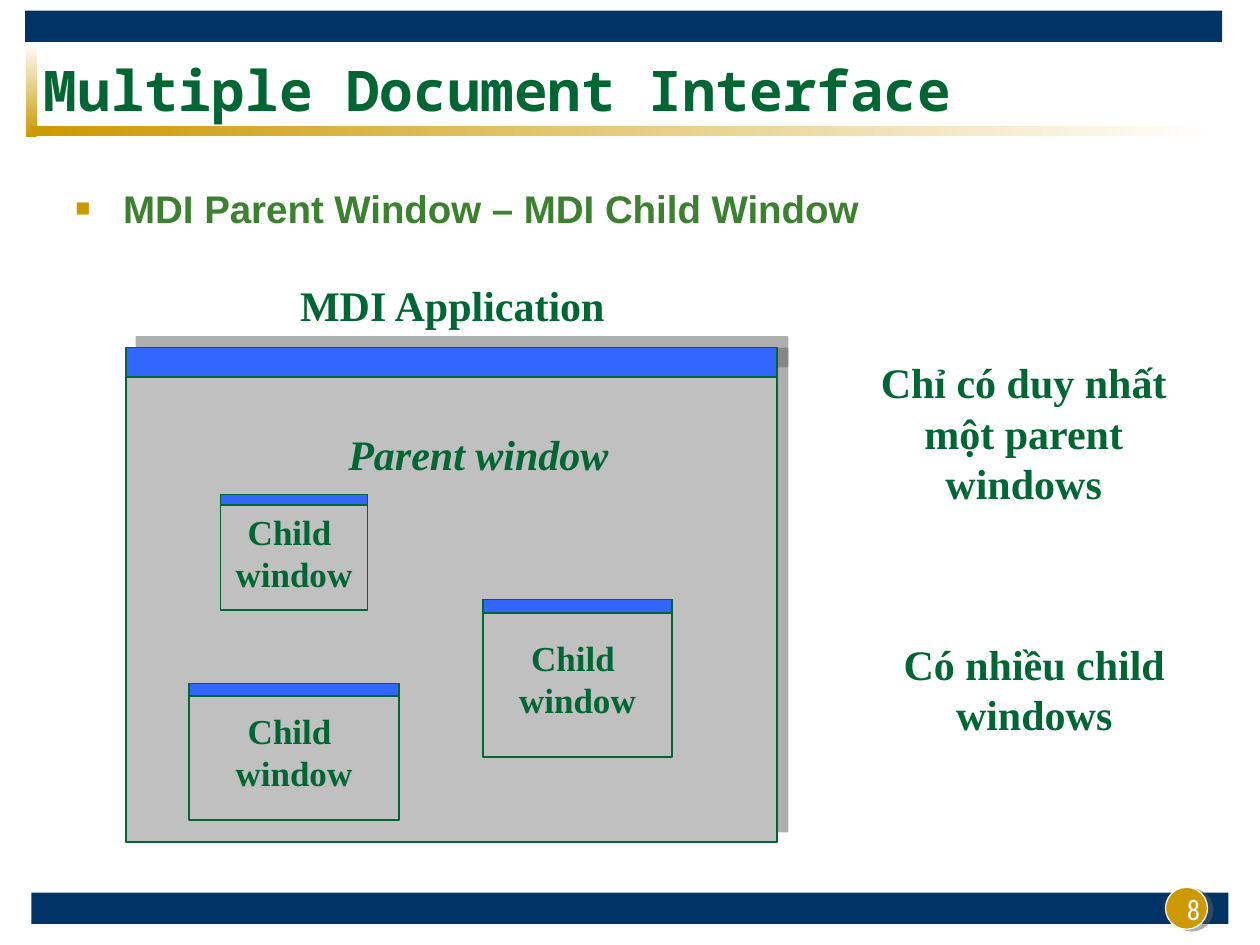
from lxml import etree
from pptx import Presentation, util as u
from pptx.dml.color import RGBColor
from pptx.enum import shapes, text
from pptx.oxml.ns import qn

COLORS = {
    "navy": "003366", "gold": "CC9900", "white": "FFFFFF", "green": "006633",
    "leaf": "3B812F", "gray": "C0C0C0", "blue": "3366FF", "shade": "5F5F5F",
}
COLUMNS, ROWS = 120, 90
CELL = u.Inches(10) / COLUMNS
SERIF = "Times New Roman"
LEFT, CENTER, RIGHT = text.PP_ALIGN.LEFT, text.PP_ALIGN.CENTER, text.PP_ALIGN.RIGHT
TOP, MIDDLE, BOTTOM = text.MSO_ANCHOR.TOP, text.MSO_ANCHOR.MIDDLE, text.MSO_ANCHOR.BOTTOM


def color(name):
    return RGBColor.from_string(COLORS[name])


def cells(*counts):
    return [u.Emu(round(count * CELL)) for count in counts]


def child_element(parent, tag, **attributes):
    return etree.SubElement(parent, qn(tag), attributes)


def add_alpha(color_element, percent):
    child_element(color_element, "a:alpha", val=str(percent * 1000))


def add_shadow(shape, distance, angle):
    effects = shape._element.spPr.find(qn("a:effectLst"))
    shadow = child_element(effects, "a:outerShdw", dist=str(u.Pt(distance)),
                           dir=str(angle * 60000), algn="ctr", rotWithShape="0")
    add_alpha(child_element(shadow, "a:srgbClr", val=COLORS["shade"]), 50)


def add_block(page, place, fill, line=None, width=1, kind=shapes.MSO_SHAPE.RECTANGLE):
    shape = page.shapes.add_shape(kind, *cells(*place))
    shape.shadow.inherit = False
    shape.fill.solid()
    shape.fill.fore_color.rgb = color(fill)
    if line:
        shape.line.color.rgb = color(line)
        shape.line.width = u.Pt(width)
    else:
        shape.line.fill.background()
    return shape


def add_gradient(page, place, start, end, angle):
    shape = add_block(page, place, start)
    shape.fill.gradient()
    shape.fill.gradient_angle = angle
    for stop, name, position in zip(shape.fill.gradient_stops, (start, end), (0, 1)):
        stop.color.rgb = color(name)
        stop.position = position


def add_bullet(para):
    properties = para._p.get_or_add_pPr()
    properties.set("marL", str(u.Inches(0.38)))
    properties.set("indent", str(-u.Inches(0.38)))
    bullet_color = child_element(properties, "a:buClr")
    child_element(bullet_color, "a:srgbClr", val=COLORS["gold"])
    child_element(properties, "a:buSzPct", val="65000")
    child_element(properties, "a:buFont", typeface="Arial")
    child_element(properties, "a:buChar", char="■")


def write(shape, words, size=24, font=SERIF, ink="green", bold=True, italic=False,
          align=LEFT, anchor=TOP, wrap=True, bullet=False):
    """Fill a shape with one paragraph per line of words."""
    frame = shape.text_frame
    frame.word_wrap = wrap
    frame.vertical_anchor = anchor
    for number, line in enumerate(words.split("\n")):
        para = frame.add_paragraph() if number else frame.paragraphs[0]
        para.alignment = align
        if bullet:
            add_bullet(para)
        span = para.add_run()
        span.text = line
        span.font.name = font
        span.font.size = u.Pt(size)
        span.font.bold = bold
        span.font.italic = italic
        span.font.color.rgb = color(ink)


def add_text(page, place, words, **style):
    box = page.shapes.add_textbox(*cells(*place))
    write(box, words, **style)
    return box


def add_label(page, place, words, **style):
    """Add text whose box grows to fit it."""
    box = add_text(page, place, words, **style)
    box.text_frame.auto_size = text.MSO_AUTO_SIZE.SHAPE_TO_FIT_TEXT


def add_child_window(page, place, bar_height, wrap=True):
    left, top, width, _ = place
    body = add_block(page, place, "gray", "green")
    add_alpha(body._element.spPr.find(qn("a:solidFill"))[0], 24)
    write(body, "Child \nwindow", size=20, align=CENTER, anchor=MIDDLE, wrap=wrap)
    add_block(page, (left, top, width, bar_height), "blue", "green")


def add_frame(page):
    """Draw the bands, the title rules and the page number."""
    add_block(page, (3, 85, 114, 3), "navy")
    add_block(page, (2.4, 1, 114, 3), "navy")
    add_gradient(page, (2.5, 4, 1, 9), "white", "gold", 270)
    add_gradient(page, (3, 12, 113, 1), "gold", "white", 0)
    badge = add_block(page, (111, 84.5, 4, 4), "gold", "white", 0.75,
                      shapes.MSO_SHAPE.OVAL)
    add_shadow(badge, 3.2, 18)
    add_text(page, (87.5, 82.8, 28, 6), "8", size=16, font="Roboto Condensed",
             ink="white", bold=False, align=RIGHT, anchor=BOTTOM)


def add_application(page):
    for place, fill in (((12, 34.2, 62, 46), "gray"), ((12, 33.1, 62, 2.8), "blue")):
        add_shadow(add_block(page, place, fill, "green"), 8.5, 315)
    add_child_window(page, (21, 47.1, 14, 11), 1, wrap=False)
    add_child_window(page, (46, 57.1, 18, 15), 1.3)
    add_child_window(page, (18, 65.1, 20, 13), 1.2)
    add_label(page, (32, 40.2, 27.6, 6), "Parent window", italic=True, wrap=False)
    add_label(page, (27.4, 26, 31.8, 6), "MDI Application", wrap=False)


def main():
    deck = Presentation()
    deck.slide_width, deck.slide_height = cells(COLUMNS, ROWS)
    page = deck.slides.add_slide(deck.slide_layouts[6])
    add_frame(page)
    add_text(page, (3, 5, 108, 7), "Multiple Document Interface", size=32,
             font="Noto Sans Mono", anchor=MIDDLE)
    add_text(page, (6, 17, 108, 64), "MDI Parent Window – MDI Child Window", size=22,
             font="Arial", ink="leaf", bullet=True)
    add_application(page)
    add_label(page, (80, 33.4, 35, 15.6), "Chỉ có duy nhất một parent windows", align=CENTER)
    add_label(page, (81, 60.2, 35, 10.8), "Có nhiều child windows", align=CENTER)
    deck.save("out.pptx")


if __name__ == "__main__":
    main()
